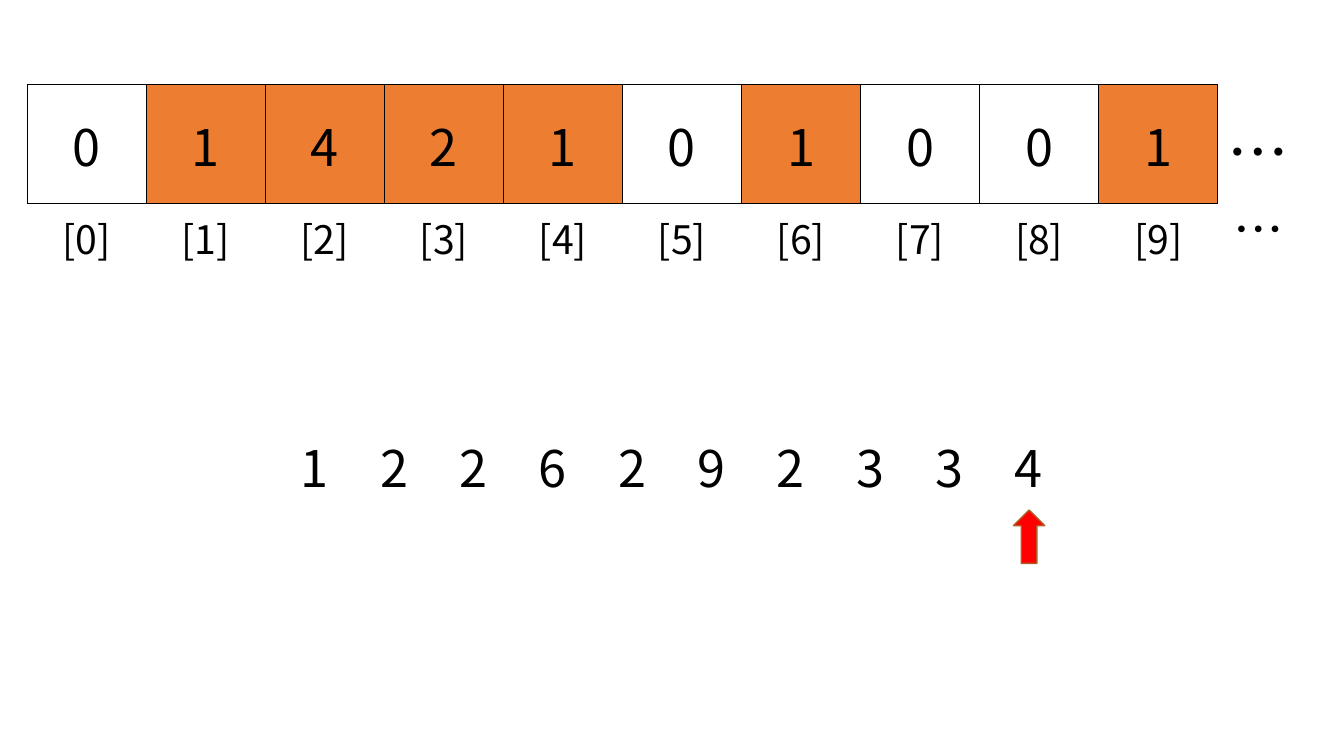
from lxml.etree import SubElement
from pptx import Presentation
from pptx.dml.color import RGBColor
from pptx.enum.shapes import MSO_SHAPE
from pptx.enum.text import MSO_ANCHOR, MSO_AUTO_SIZE, PP_ALIGN
from pptx.oxml import parse_xml
from pptx.oxml.ns import nsdecls, qn
from pptx.util import Inches, Pt

FONT = "Noto Sans CJK JP"
COLORS = {"ink": "000000", "used": "ED7D31", "arrow": "FF0000", "edge": "AF5C24"}
COUNTS = [0, 1, 4, 2, 1, 0, 1, 0, 0, 1]
INPUT = [1, 2, 2, 6, 2, 9, 2, 3, 3, 4]
PLAIN = "{2D5ABB26-0587-4C30-8999-92F81FD0307C}"  # no style, no grid


def color(name):
    return RGBColor.from_string(COLORS[name])


def add_run(para, text, size):
    run = para.add_run()
    run.text = text
    font = run.font
    font.size, font.name = Pt(size), FONT
    font.color.rgb = color("ink")
    SubElement(font._element, qn("a:ea"), typeface=FONT)


def add_border(cell):
    props = cell._tc.get_or_add_tcPr()
    for i, side in enumerate(("lnL", "lnR", "lnT", "lnB")):
        line = parse_xml(
            f'<a:{side} {nsdecls("a")} w="12700"><a:solidFill>'
            f'<a:srgbClr val="{COLORS["ink"]}"/></a:solidFill></a:{side}>')
        props.insert(i, line)


def add_row(slide, texts, left, top, width, height, size,
            anchor=MSO_ANCHOR.MIDDLE, grid=False, marks=()):
    frame = slide.shapes.add_table(1, len(texts), Inches(left), Inches(top),
                                   Inches(width), Inches(height))
    table = frame.table
    table.first_row = table.horz_banding = False
    table._tbl.tblPr.find(qn("a:tableStyleId")).text = PLAIN
    for i, text in enumerate(texts):
        table.columns[i].width = Inches(width / len(texts))
        cell = table.cell(0, i)
        cell.vertical_anchor = anchor
        if i in marks:
            cell.fill.solid()
            cell.fill.fore_color.rgb = color("used")
        else:
            cell.fill.background()
        if grid:
            add_border(cell)
        para = cell.text_frame.paragraphs[0]
        para.alignment = PP_ALIGN.CENTER
        add_run(para, str(text), size)


def add_dots(slide, left, top, width, height, size):
    box = slide.shapes.add_textbox(Inches(left), Inches(top),
                                   Inches(width), Inches(height))
    frame = box.text_frame
    frame.word_wrap = False
    frame.auto_size = MSO_AUTO_SIZE.SHAPE_TO_FIT_TEXT
    add_run(frame.paragraphs[0], "…", size)


def add_arrow(slide, mid, top, width, height):
    arrow = slide.shapes.add_shape(MSO_SHAPE.UP_ARROW, Inches(mid - width / 2),
                                   Inches(top), Inches(width), Inches(height))
    arrow.shadow.inherit = False
    arrow.fill.solid()
    arrow.fill.fore_color.rgb = color("arrow")
    arrow.line.color.rgb = color("edge")
    arrow.line.width = Pt(1)


def main():
    prs = Presentation()
    prs.slide_width, prs.slide_height = Inches(13.33), Inches(7.5)
    slide = prs.slides.add_slide(prs.slide_layouts[6])

    # Counting array with its indexes
    left, width, side = 0.27, 11.81, 1.18
    used = [i for i, count in enumerate(COUNTS) if count]
    add_row(slide, COUNTS, left, 0.84, width, side, 36, grid=True, marks=used)
    labels = [f"[{i}]" for i in range(len(COUNTS))]
    add_row(slide, labels, left, 2.02, width, 0.65, 28, anchor=MSO_ANCHOR.TOP)

    # The array goes on
    add_dots(slide, 12.08, 1.08, 0.82, 0.84, 44)
    add_dots(slide, 12.14, 1.92, 0.71, 0.71, 36)

    # Input numbers, with an arrow below the last one
    left, width = 2.73, 7.87
    add_row(slide, INPUT, left, 4.03, width, side, 36)
    step = width / len(INPUT)
    add_arrow(slide, left + width - step / 2, 5.06, 0.31, 0.53)

    prs.save("out.pptx")


main()
